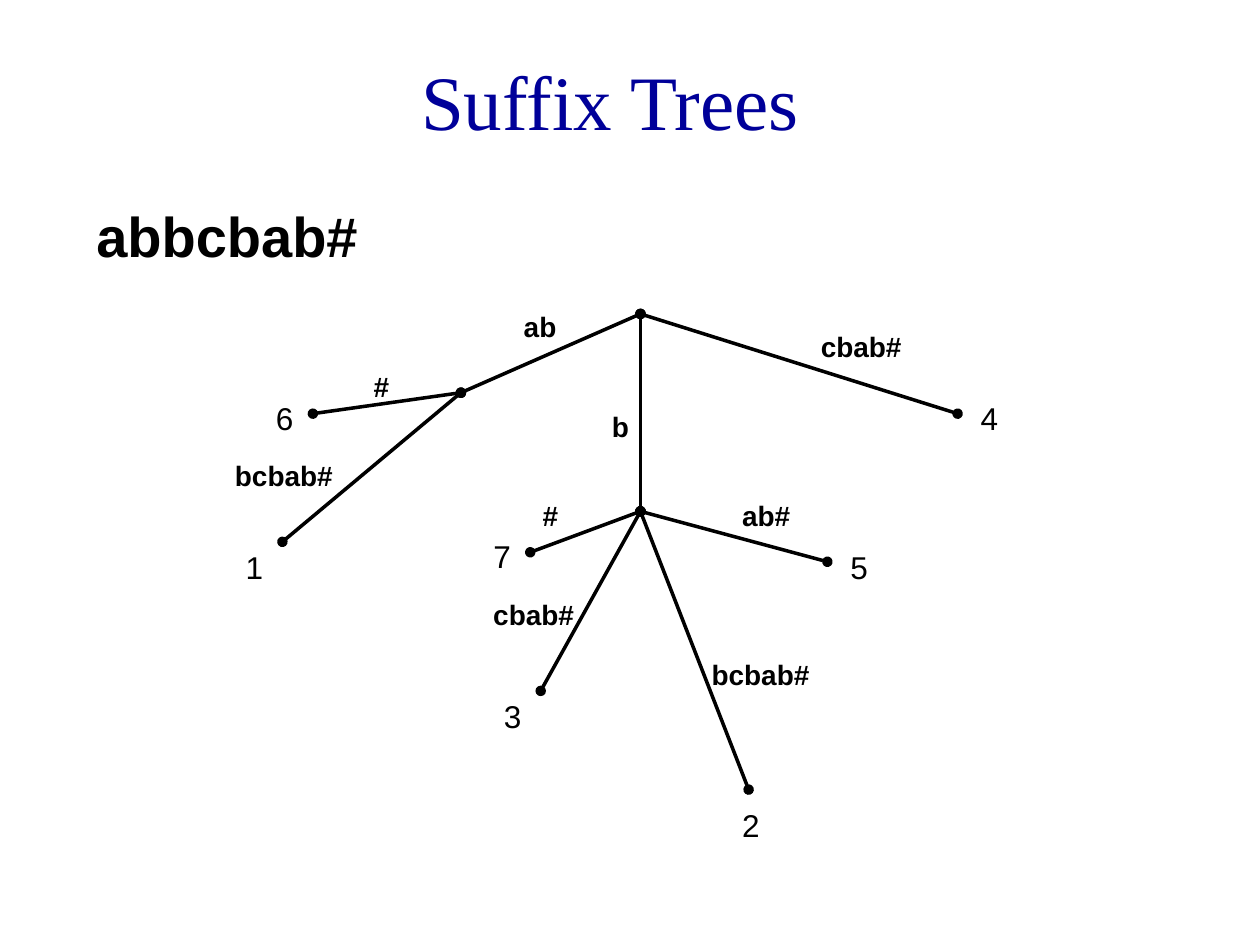
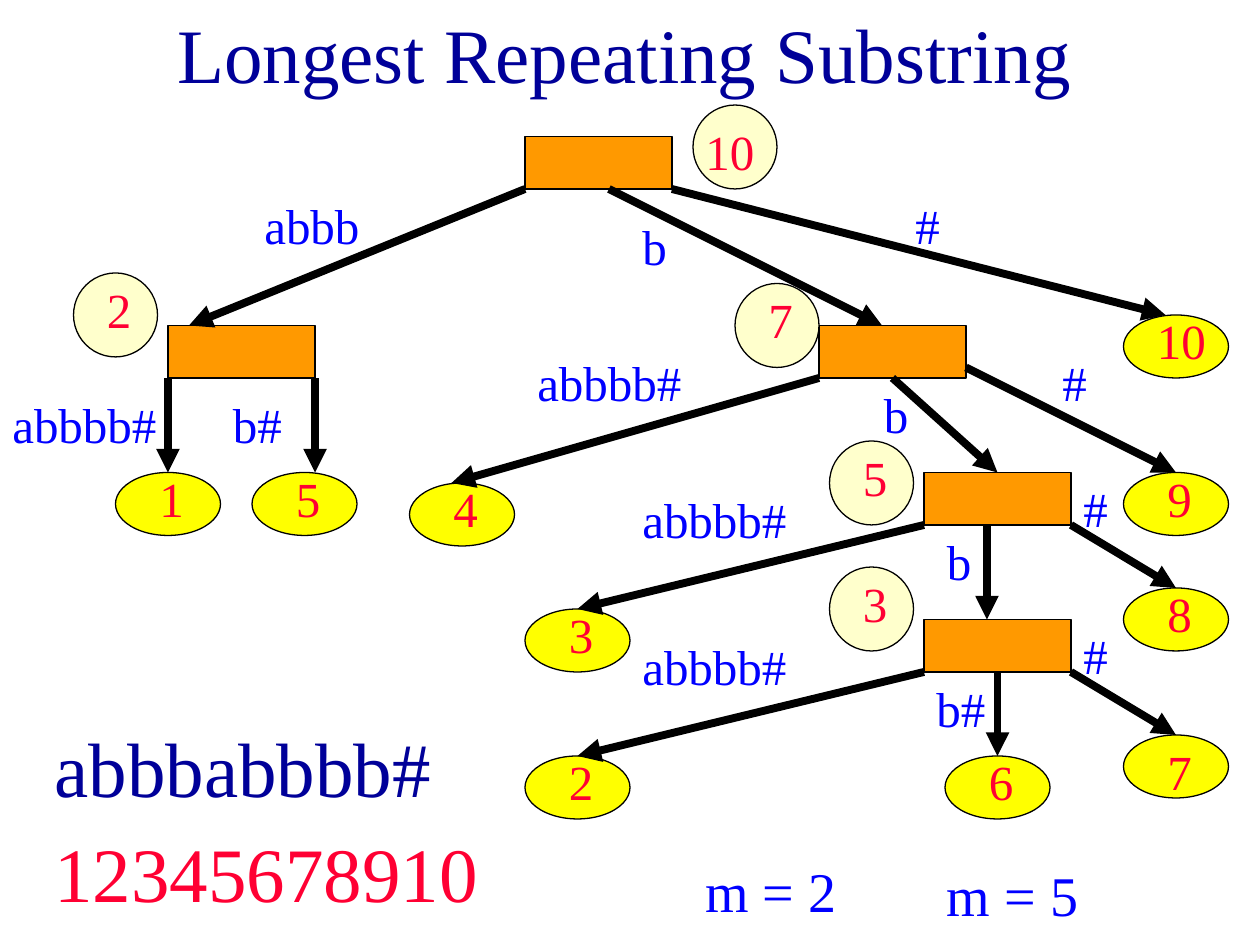
"""Build two slides on suffix trees and the longest repeating substring."""
from lxml import etree
from pptx import Presentation
from pptx.dml.color import RGBColor
from pptx.enum.shapes import MSO_CONNECTOR, MSO_SHAPE
from pptx.enum.text import MSO_ANCHOR, PP_ALIGN
from pptx.oxml.ns import qn
from pptx.util import Pt

SCALE = 7620
SLIDE_SIZE = (1200, 900)
STRAIGHT = MSO_CONNECTOR.STRAIGHT
RECTANGLE, OVAL = MSO_SHAPE.RECTANGLE, MSO_SHAPE.OVAL
MIDDLE, CENTER = MSO_ANCHOR.MIDDLE, PP_ALIGN.CENTER

COLORS = {
    "title": "000099",
    "ink": "000000",
    "edge": "0000FF",
    "number": "FF0033",
    "inner": "FF9900",
    "leaf": "FFFF00",
    "depth": "FFFFCC",
    "paper": "FFFFFF",
}
SERIF, SANS = "Times New Roman", "Arial"
FORMATS = {
    "title": ("title", {"name": SERIF, "size": Pt(44)}),
    "positions": ("number", {"name": SERIF, "size": Pt(44)}),
    "edge": ("edge", {"name": SERIF, "size": Pt(28)}),
    "number": ("number", {"name": SERIF, "size": Pt(28)}),
    "answer": ("edge", {"name": SERIF, "size": Pt(32)}),
    "word": ("ink", {"name": SANS, "size": Pt(32), "bold": True}),
    "branch": ("ink", {"name": SANS, "size": Pt(16), "bold": True}),
    "suffix": ("ink", {"name": SANS, "size": Pt(18)}),
}

DOTS = {
    "root": (610, 299), "ab": (439, 374), "b": (610, 487),
    "1": (269, 516), "2": (713, 752), "3": (515, 658), "4": (912, 394),
    "5": (788, 535), "6": (298, 394), "7": (505, 526),
}
BRANCHES = [
    ("root", "ab", "ab", (487, 289)),
    ("ab", "1", "bcbab#", (212, 431)),
    ("ab", "6", "#", (344, 346)),
    ("root", "b", "b", (571, 384)),
    ("b", "7", "#", (505, 469)),
    ("b", "3", "cbab#", (458, 563)),
    ("b", "2", "bcbab#", (666, 620)),
    ("b", "5", "ab#", (695, 469)),
    ("root", "4", "cbab#", (770, 308)),
]
BRANCH_WIDTHS = {"cbab#": 151, "bcbab#": 132}
SUFFIX_PLACES = {
    "6": (251, 374), "1": (222, 516), "7": (458, 506), "3": (468, 658),
    "2": (695, 762), "5": (798, 516), "4": (922, 374),
}

INNER_NODES = {
    "root": (500, 130), "abbb": (160, 310), "b": (780, 310),
    "bb": (880, 450), "bbb": (880, 590),
}
LEAVES = {
    "1": (110, 450), "2": (500, 720), "3": (500, 580), "4": (390, 460),
    "5": (240, 450), "6": (900, 720), "7": (1070, 700), "8": (1070, 560),
    "9": (1070, 450), "10": (1070, 300),
}
LEAF_SHIFTS = {"7": (30, 0), "10": (20, -10)}
EDGES = [
    ("root", (500, 180), "abbb", (180, 310), "abbb", (240, 180)),
    ("root", (580, 180), "b", (840, 310), "b", (600, 200)),
    ("root", (640, 180), "10", (1110, 300), "#", (860, 180)),
    ("abbb", (160, 360), "1", (160, 450), "abbbb#", (0, 370)),
    ("abbb", (300, 360), "5", (300, 450), "b#", (210, 370)),
    ("b", (920, 350), "9", (1120, 450), "#", (1000, 330)),
    ("b", (780, 360), "4", (430, 460), "abbbb#", (500, 330)),
    ("b", (850, 360), "bb", (950, 450), "b", (830, 360)),
    ("bb", (1020, 500), "8", (1120, 560), "#", (1020, 450)),
    ("bb", (880, 500), "3", (550, 580), "abbbb#", (600, 460)),
    ("bb", (940, 500), "bbb", (940, 590), "b", (890, 500)),
    ("bbb", (1020, 640), "7", (1120, 700), "#", (1020, 590)),
    ("bbb", (880, 640), "2", (550, 720), "abbbb#", (600, 600)),
    ("bbb", (950, 640), "6", (950, 720), "b#", (880, 640)),
]
EDGE_WIDTHS = {"abbbb#": 170, "abbb": 120, "b#": 80}
DEPTHS = [
    ("2", (70, 260), (20, 0)),
    ("3", (790, 540), (20, 0)),
    ("5", (790, 420), (20, 0)),
    ("7", (700, 270), (20, 0)),
    ("10", (660, 100), (0, 10)),
]
CAPTIONS = [
    ("abbbabbbb#", (40, 680, 450, 100), "title"),
    ("12345678910", (40, 780, 450, 100), "positions"),
    ("m = 2", (660, 810, 210, 75), "answer"),
    ("m = 5", (890, 814, 210, 75), "answer"),
]


def emu(*lengths):
    """Turn px lengths into EMU."""
    return [length * SCALE for length in lengths]


def rgb(color):
    """Look up a palette colour."""
    return RGBColor.from_string(COLORS[color])


def add_label(slide, text, box, style):
    """Write one line of text in a wrapping box."""
    label = slide.shapes.add_textbox(*emu(*box))
    label.text_frame.word_wrap = True
    run = label.text_frame.paragraphs[0].add_run()
    run.text = text
    color, values = FORMATS[style]
    for attribute, value in values.items():
        setattr(run.font, attribute, value)
    run.font.color.rgb = rgb(color)
    return label


def add_title(slide, text, box, right_inset=12):
    """Write a centred slide title."""
    frame = add_label(slide, text, box, "title").text_frame
    frame.vertical_anchor = MIDDLE
    frame.margin_right = right_inset * SCALE
    frame.paragraphs[0].alignment = CENTER


def add_caption(slide, text, box, style):
    """Write text on a white ground."""
    caption = add_label(slide, text, box, style)
    caption.fill.solid()
    caption.fill.fore_color.rgb = rgb("paper")


def add_node(slide, kind, place, size, color):
    """Draw an outlined tree node."""
    node = slide.shapes.add_shape(kind, *emu(*place, *size))
    node.shadow.inherit = False
    node.fill.solid()
    node.fill.fore_color.rgb = rgb(color)
    node.line.color.rgb = rgb("ink")
    node.line.width = Pt(0.75)
    return node


def add_line(slide, start, end, width, ends):
    """Draw a black line with the given end marks."""
    line = slide.shapes.add_connector(STRAIGHT, *emu(*start, *end))
    line.line.color.rgb = rgb("ink")
    line.line.width = Pt(width)
    properties = line.element.spPr
    outline = properties.find(qn("a:ln"))
    for tag, mark in ends.items():
        etree.SubElement(outline, qn(tag), type=mark)
    etree.SubElement(properties, qn("a:effectLst"))
    return line


def side_at(node, point):
    """Return the side of a node whose middle is the point, if any."""
    center_x, center_y = node.left + node.width // 2, node.top + node.height // 2
    sides = [
        (center_x, node.top),
        (node.left, center_y),
        (center_x, node.top + node.height),
        (node.left + node.width, center_y),
    ]
    target = tuple(emu(*point))
    return sides.index(target) if target in sides else None


def add_arrow(slide, parent, start, child, end):
    """Draw a tree edge and join it where it meets a side's middle."""
    arrow = add_line(slide, start, end, 4.5, {"a:tailEnd": "triangle"})
    for connect, node, point in (
        (arrow.begin_connect, parent, start),
        (arrow.end_connect, child, end),
    ):
        side = side_at(node, point)
        if side is not None:
            connect(node, side)


def shifted(place, shift):
    """Move a place by a shift."""
    return place[0] + shift[0], place[1] + shift[1]


def build_suffix_tree(slide):
    """Draw the suffix tree of a short word."""
    add_title(slide, "Suffix Trees", (90, 20, 1020, 150), right_inset=50)
    add_label(slide, "abbcbab#", (80, 186, 312, 76), "word")
    for parent, child, _, _ in BRANCHES:
        add_line(slide, DOTS[parent], DOTS[child], 2,
                 {"a:headEnd": "oval", "a:tailEnd": "oval"})
    for _, _, text, place in BRANCHES:
        add_label(slide, text, (*place, BRANCH_WIDTHS.get(text, 95), 44), "branch")
    for number, place in SUFFIX_PLACES.items():
        add_label(slide, number, (*place, 47, 48), "suffix")


def build_repeating_substring(slide):
    """Draw the tree used to find the longest repeating substring."""
    add_title(slide, "Longest Repeating Substring", (20, 0, 1150, 100))
    nodes = {}
    for name, place in INNER_NODES.items():
        nodes[name] = add_node(slide, RECTANGLE, place, (140, 50), "inner")
    for number, place in LEAVES.items():
        nodes[number] = add_node(slide, OVAL, place, (100, 60), "leaf")
    for parent, start, child, end, text, place in EDGES:
        add_arrow(slide, nodes[parent], start, nodes[child], end)
        add_label(slide, text, (*place, EDGE_WIDTHS.get(text, 50), 68), "edge")
    for caption in CAPTIONS:
        add_caption(slide, *caption)
    for number, place in LEAVES.items():
        corner = shifted(place, LEAF_SHIFTS.get(number, (30, -10)))
        width = 110 if number == "10" else 50
        add_label(slide, number, (*corner, width, 68), "number")
    for number, place, shift in DEPTHS:
        add_node(slide, OVAL, place, (80, 80), "depth")
        width = 150 if number == "10" else 40
        add_label(slide, number, (*shifted(place, shift), width, 68), "number")


def main():
    """Build and save the presentation."""
    deck = Presentation()
    deck.slide_width, deck.slide_height = emu(*SLIDE_SIZE)
    for build in (build_suffix_tree, build_repeating_substring):
        build(deck.slides.add_slide(deck.slide_layouts[6]))
    deck.save("out.pptx")


if __name__ == "__main__":
    main()
